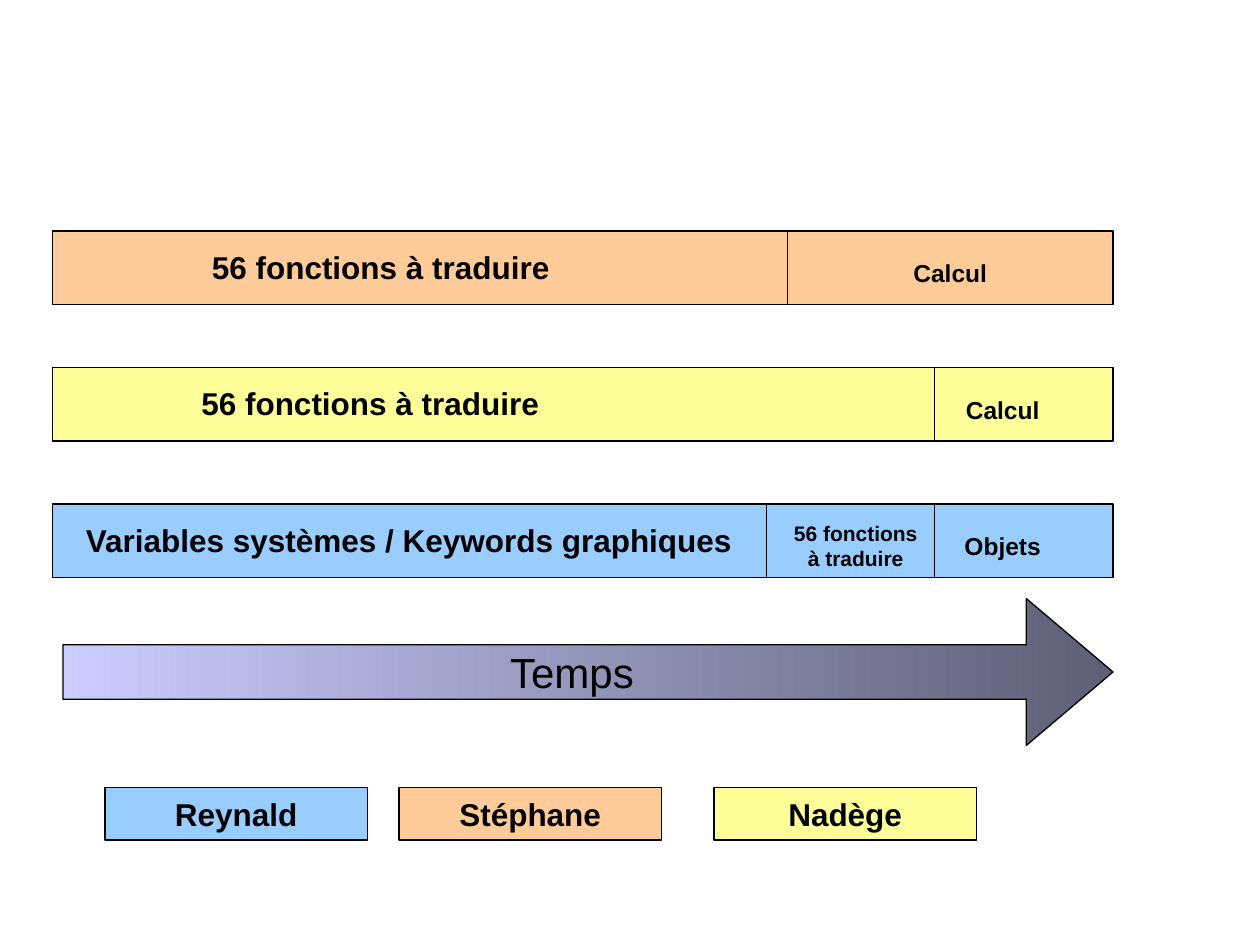
import pptx
import pptx.util
import pptx.dml.color
import pptx.enum.shapes
import pptx.enum.text

Pt = pptx.util.Pt
SHAPE = pptx.enum.shapes.MSO_SHAPE
ALIGN = pptx.enum.text.PP_ALIGN
ANCHOR = pptx.enum.text.MSO_ANCHOR

COLORS = {"blue": "99CCFF", "orange": "FFCC99", "yellow": "FFFF99",
          "dark": "5E5E75", "light": "CCCCFF", "black": "000000"}
COLS, ROWS = 120, 90  # grid cells of 1/12 inch
LEFT, BAR_H = 5, 7

# Text formats: font values and paragraph values
FORMATS = {
    "main": ({"size": Pt(18), "bold": True}, {"space_before": Pt(11.2)}),
    "small": ({"size": Pt(14), "bold": True}, {"alignment": ALIGN.CENTER}),
    "tiny": ({"size": Pt(12), "bold": True},
             {"alignment": ALIGN.CENTER, "space_before": Pt(7.5)}),
    "key": ({"size": Pt(18), "bold": True}, {"alignment": ALIGN.CENTER}),
    "time": ({"size": Pt(24), "bold": False}, {"alignment": ALIGN.CENTER}),
}

# Per bar: color, top row, segment widths, labels (text, format, col, row, width, height)
BARS = [
    ("orange", 22, (70, 31),
     [("56 fonctions à traduire", "main", 19, 23, 43, 4.8),
      ("Calcul", "small", 84, 24, 13, 4)]),
    ("yellow", 35, (84, 17),
     [("56 fonctions à traduire", "main", 18, 36, 43, 4.8),
      ("Calcul", "small", 89, 37, 13, 4)]),
    ("blue", 48, (68, 16, 17),
     [("Variables systèmes / Keywords graphiques", "main", 7, 49, 65, 4.8),
      ("56 fonctions à traduire", "tiny", 74, 49, 15, 6),
      ("Objets", "small", 89, 50, 13, 4)]),
]
KEYS = [("Reynald", "blue", 10), ("Stéphane", "orange", 38), ("Nadège", "yellow", 68)]


def rgb(name):
    return pptx.dml.color.RGBColor.from_string(COLORS[name])


def place(prs, col, row, width, height):
    dx, dy = prs.slide_width / COLS, prs.slide_height / ROWS
    return [round(v) for v in (col * dx, row * dy, width * dx, height * dy)]


def write(tf, text, style):
    font, paragraph = FORMATS[style]
    p = tf.paragraphs[0]
    r = p.add_run()
    r.text = text
    r.font.name = "Arial"
    r.font.color.rgb = rgb("black")
    for target, values in ((r.font, font), (p, paragraph)):
        for name, value in values.items():
            setattr(target, name, value)


def add_block(prs, s, kind, box, color=None, text=None, style=None):
    sp = s.shapes.add_shape(kind, *place(prs, *box))
    sp.shadow.inherit = False
    sp.line.color.rgb = rgb("black")
    sp.line.width = Pt(0.75)
    if color:
        sp.fill.solid()
        sp.fill.fore_color.rgb = rgb(color)
    if text:
        tf = sp.text_frame
        tf.word_wrap = False
        tf.vertical_anchor = ANCHOR.MIDDLE
        write(tf, text, style)
    return sp


def add_label(prs, s, text, style, *box):
    tf = s.shapes.add_textbox(*place(prs, *box)).text_frame
    tf.word_wrap = True
    write(tf, text, style)


def add_bar(prs, s, color, row, widths, labels):
    col = LEFT
    for width in widths:
        add_block(prs, s, SHAPE.RECTANGLE, (col, row, width, BAR_H), color)
        col += width
    for label in labels:
        add_label(prs, s, *label)


def add_time_arrow(prs, s):
    sp = add_block(prs, s, SHAPE.RIGHT_ARROW, (6, 57, 100, 14), text="Temps", style="time")
    sp.adjustments[0], sp.adjustments[1] = 0.37, 0.59
    sp.fill.gradient()
    sp.fill.gradient_angle = 180
    for stop, position, color in zip(sp.fill.gradient_stops, (0, 1), ("dark", "light")):
        stop.position = position
        stop.color.rgb = rgb(color)


def main():
    prs = pptx.Presentation()
    prs.slide_width = pptx.util.Inches(10)
    prs.slide_height = pptx.util.Inches(7.5)
    s = prs.slides.add_slide(prs.slide_layouts[6])

    # Work bars along the time arrow
    for bar in BARS:
        add_bar(prs, s, *bar)
    add_time_arrow(prs, s)

    # Key of people
    for name, color, col in KEYS:
        add_block(prs, s, SHAPE.RECTANGLE, (col, 75, 25, 5), color, name, "key")

    prs.save("out.pptx")


if __name__ == "__main__":
    main()
